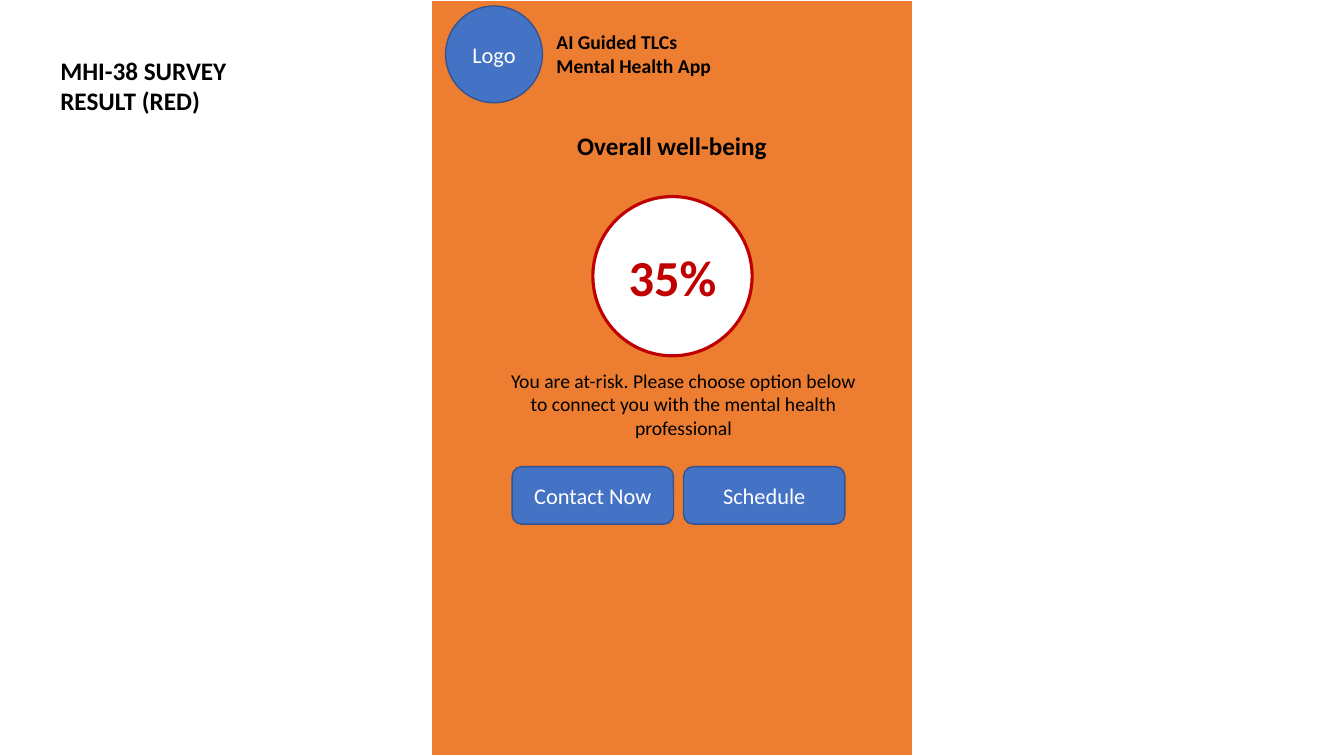
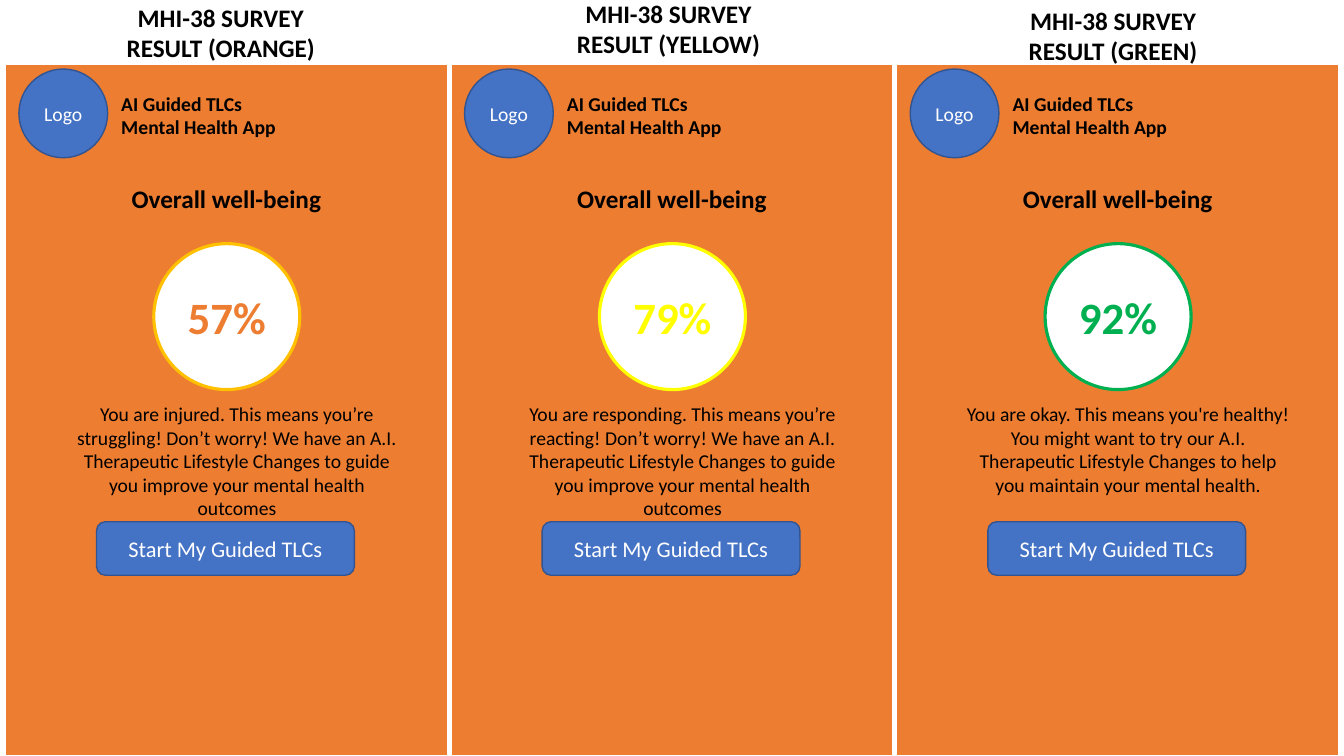
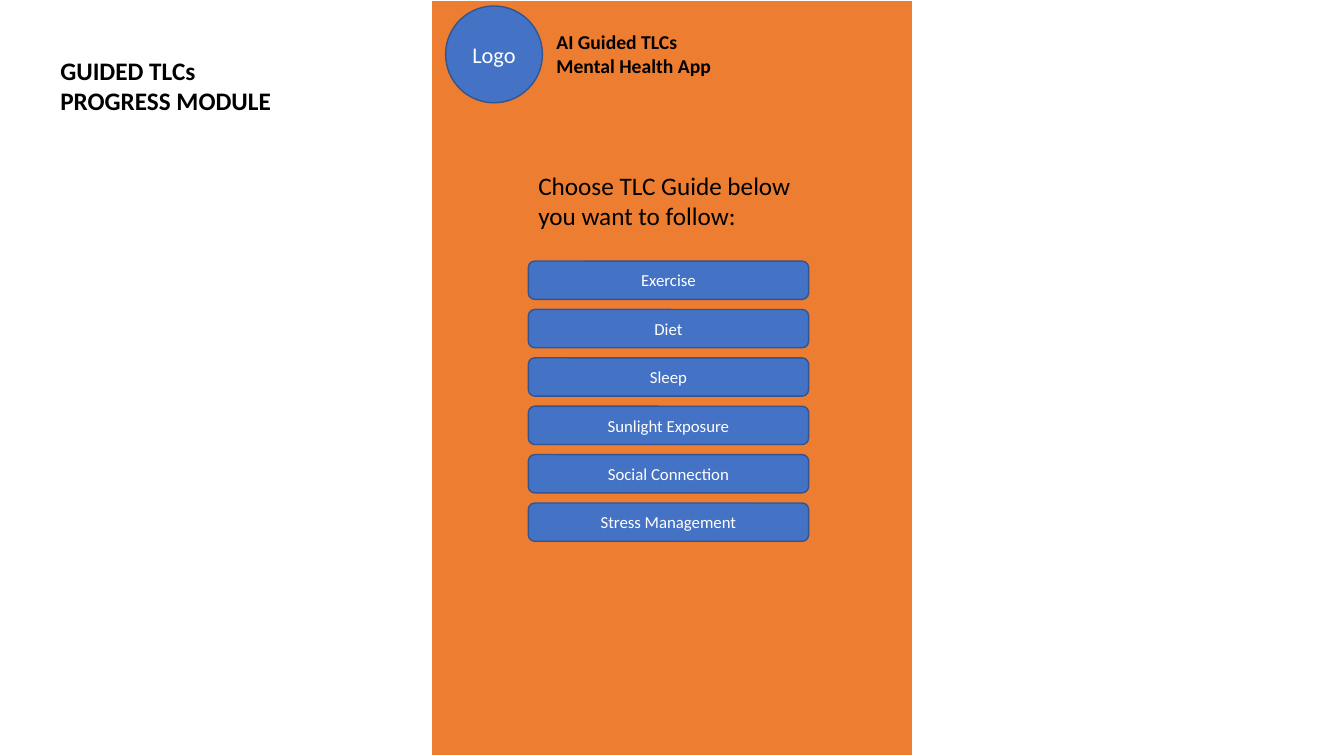
"""Build three slides of survey result and guide screens for a mental health app."""
from dataclasses import dataclass

from pptx import Presentation
from pptx.dml.color import RGBColor
from pptx.enum.shapes import MSO_SHAPE
from pptx.enum.text import MSO_ANCHOR, PP_ALIGN
from pptx.util import Inches, Pt


@dataclass(frozen=True)
class Theme:
    """Colours, type sizes and page measures shared by the slides."""
    font: str = "Calibri"
    black: str = "000000"
    white: str = "FFFFFF"
    orange: str = "ED7D31"
    blue: str = "4472C4"
    navy: str = "325491"
    red: str = "C00000"
    amber: str = "FFC000"
    yellow: str = "FFFF00"
    green: str = "00B050"
    title: int = 18
    body: int = 14
    button: int = 16
    choice: int = 12
    logo: int = 16
    small_logo: int = 14
    score: int = 36
    small_score: int = 32
    width: float = 13.33
    height: float = 7.5


T = Theme()
SCREEN_W, SMALL_W = 4.79, 4.39


def write(tf, text, size, color, bold=False, align=PP_ALIGN.LEFT):
    """Write one formatted paragraph that wraps in a text frame."""
    tf.word_wrap = True
    p = tf.paragraphs[0]
    p.alignment = align
    r = p.add_run()
    r.text = text
    for name, value in {"name": T.font, "size": Pt(size), "bold": bold}.items():
        setattr(r.font, name, value)
    r.font.color.rgb = RGBColor.from_string(color)


def add_text(shapes, box, text, size, bold=False, align=PP_ALIGN.LEFT):
    """Add a black text box."""
    sp = shapes.add_textbox(*map(Inches, box))
    write(sp.text_frame, text, size, T.black, bold, align)


def add_shape(shapes, kind, box, fill, line, weight=1):
    """Add a flat shape with a fill and an outline."""
    sp = shapes.add_shape(kind, *map(Inches, box))
    sp.shadow.inherit = False
    sp.fill.solid()
    sp.fill.fore_color.rgb = RGBColor.from_string(fill)
    sp.line.color.rgb = RGBColor.from_string(line)
    sp.line.width = Pt(weight)
    return sp


def add_label(sp, text, size, color=T.white, bold=False):
    """Centre a label in a shape."""
    sp.text_frame.vertical_anchor = MSO_ANCHOR.MIDDLE
    write(sp.text_frame, text, size, color, bold, PP_ALIGN.CENTER)


class Screen:
    """An app screen whose parts scale with its width."""

    def __init__(self, s, left, top, width=SCREEN_W, logo=T.logo):
        """Draw the panel, the logo disc and the app name."""
        self.shapes = s.shapes.add_group_shape().shapes
        self.left, self.top, self.k = left, top, width / SCREEN_W
        panel = (left, top, width, T.height - top)
        add_shape(self.shapes, MSO_SHAPE.RECTANGLE, panel, T.orange, T.white, 1.5)
        disc = add_shape(self.shapes, MSO_SHAPE.OVAL, self.box(0.15, 0.06, 0.96, 0.96),
                         T.blue, T.navy)
        add_label(disc, "Logo", logo)
        self.text((1.15, 0.25, 1.95, 0.57), "AI Guided TLCs Mental Health App",
                  T.body, True)

    def box(self, x, y, w, h):
        """Scale a box on the screen to slide inches."""
        return self.left + x * self.k, self.top + y * self.k, w * self.k, h * self.k

    def text(self, box, text, size, bold=False, align=PP_ALIGN.LEFT):
        """Add text on the screen."""
        add_text(self.shapes, self.box(*box), text, size, bold, align)

    def button(self, box, text, size=T.button):
        """Add a rounded button."""
        sp = add_shape(self.shapes, MSO_SHAPE.ROUNDED_RECTANGLE, self.box(*box),
                       T.blue, T.navy)
        add_label(sp, text, size)

    def result(self, score, advice, ring, color, size):
        """Add the well-being score and its advice."""
        self.text((1.06, 1.24, 2.67, 0.4), "Overall well-being", T.title, True,
                  PP_ALIGN.CENTER)
        self.text((0.63, 3.61, 3.76, 0.81), advice, T.body, align=PP_ALIGN.CENTER)
        sp = add_shape(self.shapes, MSO_SHAPE.OVAL, self.box(1.61, 1.95, 1.58, 1.58),
                       T.white, ring, 2.25)
        add_label(sp, score, size, color, True)


def add_title(s, text, left=0.5, top=0.5, align=PP_ALIGN.LEFT):
    """Add a bold slide title."""
    add_text(s.shapes, (left, top, 2.54, 0.71), text, T.title, True, align)


def build_red(s):
    """Build the at-risk result."""
    screen = Screen(s, 4.27, 0)
    screen.result("35%", "You are at-risk. Please choose option below to connect you "
                  "with the mental health professional", T.red, T.red, T.score)
    for i, text in enumerate(("Contact Now", "Schedule")):
        screen.button((0.81 + 1.7 * i, 4.63, 1.6, 0.57), text)
    add_title(s, "MHI-38 SURVEY RESULT (RED)")


def build_results(s):
    """Build the three other results side by side."""
    guide = ("Don’t worry! We have an A.I. Therapeutic Lifestyle Changes to guide "
             "you improve your mental health outcomes")
    results = (
        ("ORANGE", 0.92, -0.03, "57%", T.amber, T.orange,
         f"You are injured. This means you’re struggling! {guide}"),
        ("YELLOW", 5.36, -0.07, "79%", T.yellow, T.yellow,
         f"You are responding. This means you’re reacting! {guide}"),
        ("GREEN", 9.77, 0, "92%", T.green, T.green,
         "You are okay. This means you're healthy! You might want to try our A.I. "
         "Therapeutic Lifestyle Changes to help you maintain your mental health."),
    )
    margin = 0.05
    pitch = (T.width - 2 * margin - SMALL_W) / (len(results) - 1)
    for i, (name, left, top, score, ring, color, advice) in enumerate(results):
        screen = Screen(s, margin + pitch * i, 0.63, SMALL_W, T.small_logo)
        screen.result(score, advice, ring, color, T.small_score)
        screen.button((0.99, 4.96, 2.79, 0.58), "Start My Guided TLCs")
        add_title(s, f"MHI-38 SURVEY RESULT ({name})", left, top, PP_ALIGN.CENTER)


def build_guides(s):
    """Build the list of guides to choose from."""
    screen = Screen(s, 4.27, 0)
    screen.text((0.97, 1.64, 2.85, 0.71), "Choose TLC Guide below you want to follow:",
                T.title)
    guides = ("Exercise", "Diet", "Sleep", "Sunlight Exposure", "Social Connection",
              "Stress Management")
    for i, text in enumerate(guides):
        screen.button((0.97, 2.59 + 0.48 * i, 2.78, 0.38), text, T.choice)
    add_title(s, "GUIDED TLCs PROGRESS MODULE")


def main():
    """Build and save the presentation."""
    prs = Presentation()
    prs.slide_width, prs.slide_height = Inches(T.width), Inches(T.height)
    for build in (build_red, build_results, build_guides):
        build(prs.slides.add_slide(prs.slide_layouts[6]))
    prs.save("out.pptx")


if __name__ == "__main__":
    main()
